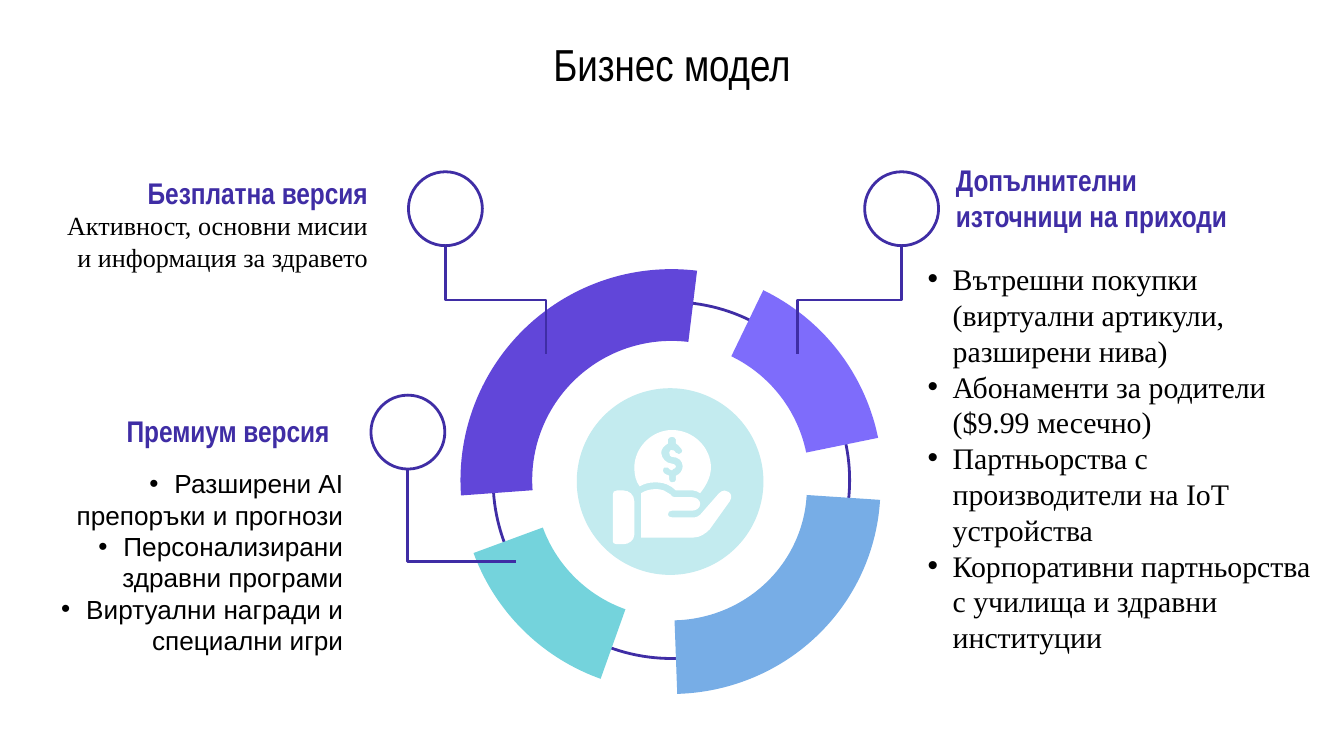
from dataclasses import dataclass

from lxml import etree
from pptx import Presentation, util as u
from pptx.dml.color import RGBColor
from pptx.enum import shapes as es, text as et
from pptx.oxml.ns import qn

Pt = u.Pt
INK, DARK, PALE, WHITE = "000000", "3F2DA5", "C3EBEF", "FFFFFF"
NARROW, SERIF, SANS = "Arial Narrow", "Times New Roman", "Arial"
LEFT, RIGHT, MID = et.PP_ALIGN.LEFT, et.PP_ALIGN.RIGHT, et.PP_ALIGN.CENTER
OVAL, ARC = es.MSO_SHAPE.OVAL, es.MSO_SHAPE.BLOCK_ARC


@dataclass
class Band:
    box: tuple
    turn: float
    start: float
    end: float
    thick: float
    fill: str


@dataclass
class Node:
    left: float
    top: float
    tip: tuple
    kind: str = "bentConnector3"


def color(code: str) -> RGBColor:
    return RGBColor.from_string(code)


def paint(shape, fill: str = "", line: str = "") -> None:
    shape.shadow.inherit = False
    if fill:
        shape.fill.solid()
        shape.fill.fore_color.rgb = color(fill)
    else:
        shape.fill.background()
    if line:
        shape.line.color.rgb = color(line)
        shape.line.width = Pt(1.5)
    else:
        shape.line.fill.background()


def solid(kind, box: tuple, fill: str = "", line: str = ""):
    shape = slide.shapes.add_shape(kind, *map(Pt, box))
    paint(shape, fill, line)
    return shape


def write(box: tuple, *lines: str, font: str = NARROW, size: float = 16,
          ink: str = INK, bold: bool = False, align=LEFT,
          dots: bool = False, low: float = 7.2) -> None:
    frame = slide.shapes.add_textbox(*map(Pt, box)).text_frame
    frame.word_wrap = True
    frame.vertical_anchor = et.MSO_ANCHOR.MIDDLE
    frame.margin_left = frame.margin_right = frame.margin_top = Pt(7.2)
    frame.margin_bottom = Pt(low)
    for i, line in enumerate(lines):
        para = frame.add_paragraph() if i else frame.paragraphs[0]
        para.alignment = align
        if dots:
            props = para._p.get_or_add_pPr()
            props.set("marL", str(Pt(13.5)))
            props.set("indent", str(-Pt(13.5)))
            tint = etree.SubElement(props, qn("a:buClr"))
            etree.SubElement(tint, qn("a:srgbClr"), val=INK)
            etree.SubElement(props, qn("a:buFont"), typeface=SANS)
            etree.SubElement(props, qn("a:buChar"), char="•")
        run = para.add_run()
        run.text = line
        run.font.name, run.font.size, run.font.bold = font, Pt(size), bold
        run.font.color.rgb = color(ink)


def draw_band(band: Band) -> None:
    arc = solid(ARC, band.box, band.fill)
    arc.rotation = band.turn
    for i, value in enumerate((band.start, band.end, band.thick / 100)):
        arc.adjustments[i] = value


def draw_node(node: Node) -> None:
    solid(OVAL, (node.left, node.top, DISC, DISC), line=DARK)
    x, y = node.left + DISC / 2, node.top + DISC
    wide, high = node.tip[0] - x, node.tip[1] - y
    mid_x, mid_y = x + wide / 2, y + high / 2
    side = 1 if wide > 0 else -1
    reach, drop = side * high / 2, abs(wide) / 2
    link = slide.shapes.add_connector(
        es.MSO_CONNECTOR.ELBOW, Pt(mid_x + reach), Pt(mid_y - drop),
        Pt(mid_x - reach), Pt(mid_y + drop))
    link.line.color.rgb = color(DARK)
    link.line.width = Pt(1.5)
    props = link._element.spPr
    props.find(qn("a:xfrm")).set("rot", str((270 if side > 0 else 90) * 60000))
    props.find(qn("a:prstGeom")).set("prst", node.kind)
    etree.SubElement(props, qn("a:effectLst"))


def pairs(step: tuple) -> list:
    return [(Pt(x * 0.72), Pt(y * 0.72)) for x, y in zip(step[::2], step[1::2])]


def draw_form(*paths: list) -> None:
    form = slide.shapes.build_freeform(*pairs(paths[0][0])[0], scale=1)
    for i, path in enumerate(paths):
        if i:
            form.move_to(*pairs(path[0])[0])
        form.add_line_segments([dot for step in path[1:] for dot in pairs(step)])
    shape = form.convert_to_shape()
    paint(shape, WHITE)
    parts = iter(list(shape._element.iter(qn("a:lnTo"))))
    for path in paths:
        for step in path[1:]:
            part = next(parts)
            if len(step) == 6:
                part.tag = qn("a:cubicBezTo")
                for more in (next(parts), next(parts)):
                    part.append(more[0])
                    more.getparent().remove(more)
        next(parts, None) if path[-1][-2:] != path[0] else None


DISC = 39.6
WHEEL = (246.7, 144.2, 226, 226)
BANDS = [
    Band(WHEEL, 285, 150.49, 211.19, 17, "6146D9"),
    Band(WHEEL, 45, 150.49, 182.07, 17.4, "7E6CFB"),
    Band(WHEEL, 210, 155.77, 185.86, 17.5, "74D3DC"),
    Band((247.5, 147.4, 222.5, 226), 105, 155.25, 205.75, 17.7, "77ADE6"),
]
NODES = [
    Node(218.8, 92, (292.5, 189.8)),
    Node(463.2, 92, (427.4, 189.8)),
    Node(198.7, 211.7, (276.5, 301)),
]
NODES[-1].kind = "bentConnector2"
CUFF = [(459, 365), (457, 365, 456, 366, 456, 368), (456, 403),
        (456, 404, 457, 405, 459, 405), (464, 405), (468, 405, 472, 402, 472, 398),
        (472, 373), (472, 368, 468, 365, 464, 365), (459, 365)]
COIN = [(500, 320), (485, 320, 472, 333, 472, 348), (472, 353, 473, 358, 476, 362),
        (479, 360, 483, 359, 487, 359), (488, 359, 488, 359, 489, 359),
        (494, 359, 499, 361, 503, 365), (516, 365),
        (518, 365, 519, 366, 521, 367), (525, 362, 529, 355, 529, 348),
        (529, 333, 516, 320, 500, 320)]
DOLLAR = [(500, 325), (501, 325, 503, 326, 503, 327), (503, 330),
          (504, 331, 506, 332, 507, 334), (508, 335, 508, 336, 507, 337),
          (506, 337, 506, 338, 505, 338), (505, 338, 504, 337, 503, 337),
          (502, 335, 501, 335, 500, 335), (500, 335, 500, 335, 499, 335),
          (499, 335, 498, 336, 498, 337), (498, 339, 499, 340, 500, 340),
          (505, 340, 508, 343, 508, 347), (508, 350, 506, 353, 503, 354),
          (503, 357), (503, 358, 502, 359, 500, 359),
          (499, 359, 498, 358, 498, 357), (498, 354),
          (496, 353, 495, 353, 494, 352), (493, 351, 493, 349, 494, 348),
          (494, 348, 495, 348, 496, 348), (496, 348, 497, 348, 497, 348),
          (498, 349, 499, 350, 500, 350), (500, 350, 501, 350, 501, 349),
          (502, 349, 503, 348, 503, 347), (503, 346, 501, 345, 500, 345),
          (496, 345, 492, 341, 492, 337), (492, 334, 494, 332, 497, 330),
          (497, 327), (497, 326, 499, 325, 500, 325)]
HAND = [(487, 364), (484, 364, 480, 365, 477, 367), (477, 400), (516, 400),
        (521, 400, 525, 397, 528, 394), (543, 373), (545, 370, 544, 367, 542, 366),
        (541, 365, 540, 365, 539, 365), (538, 365, 536, 366, 535, 367),
        (521, 383), (520, 384, 518, 385, 517, 385), (500, 385),
        (498, 385, 497, 384, 497, 383), (497, 381, 498, 380, 500, 380), (515, 380),
        (518, 380, 521, 378, 521, 375), (521, 372, 518, 370, 515, 370), (502, 370),
        (500, 370, 500, 369, 499, 368), (497, 367, 496, 366, 494, 365),
        (492, 364, 490, 364, 487, 364)]

deck = Presentation()
deck.slide_width, deck.slide_height = Pt(720), Pt(405)
slide = deck.slides.add_slide(deck.slide_layouts[6])

solid(OVAL, (309, 208, 100, 100), PALE)
solid(OVAL, (264.2, 161.8, 191, 191), line=DARK)

HEAD = dict(ink=DARK, bold=True)
write((36, 26.6, 648, 44), "Бизнес модел", size=24, align=MID, low=36)
write((27.8, 113, 176.4, 32.4), "Активност, основни мисии и информация за здравето",
      font=SERIF, size=14, align=RIGHT)
write((489.8, 181.5, 220.5, 127.5),
      "Вътрешни покупки (виртуални артикули, разширени нива)",
      "Абонаменти за родители ($9.99 месечно)",
      "Партньорства с производители на IoT устройства",
      "Корпоративни партньорства с училища и здравни институции",
      font=SERIF, dots=True)
write((48.7, 93.3, 155.5, 19.5), "Безплатна версия", align=RIGHT, **HEAD)
write((505, 79.7, 175.7, 52.5), "Допълнителни източници на приходи", **HEAD)
write((17, 264.2, 174, 73.5), "Разширени AI препоръки и прогнози",
      "Персонализирани здравни програми", "Виртуални награди и специални игри",
      font=SANS, size=14, align=RIGHT, dots=True)
write((54, 219, 129.6, 23), "Премиум версия", align=RIGHT, **HEAD)

for band in BANDS:
    draw_band(band)
for node in NODES:
    draw_node(node)
for paths in ([CUFF], [COIN, DOLLAR], [HAND]):
    draw_form(*paths)

deck.save("out.pptx")
